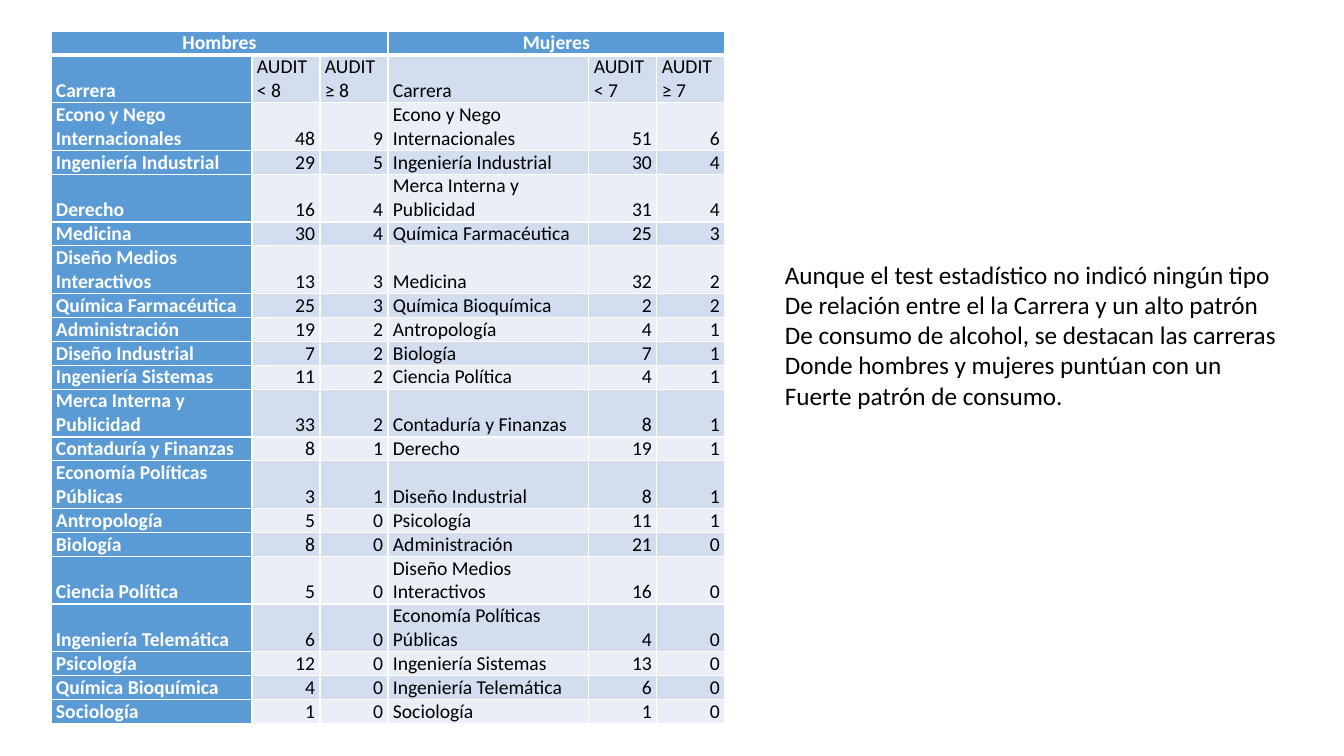
import pptx
import pptx.util
import pptx.dml.color
import pptx.enum.text
import pptx.oxml

PIXEL = 914400 / 100.8
COLORS = {"header": "5B9BD5", "odd": "D2DEEF", "even": "EAEFF7",
          "white": "FFFFFF", "black": "000000"}
ALIGN = pptx.enum.text.PP_ALIGN
NAMESPACE = "http://schemas.openxmlformats.org/drawingml/2006/main"
GROUP_WIDTHS = [201, 68, 68]
HEADER_HEIGHT, ROW_HEIGHT = 23, 21

HEADINGS = ["Carrera", "AUDIT < 8", "AUDIT ≥ 8", "Carrera", "AUDIT < 7", "AUDIT ≥ 7"]
MEN = [
    ("Econo y Nego Internacionales", 48, 9), ("Ingeniería Industrial", 29, 5),
    ("Derecho", 16, 4), ("Medicina", 30, 4), ("Diseño Medios Interactivos", 13, 3),
    ("Química Farmacéutica", 25, 3), ("Administración", 19, 2),
    ("Diseño Industrial", 7, 2), ("Ingeniería Sistemas", 11, 2),
    ("Merca Interna y Publicidad", 33, 2), ("Contaduría y Finanzas", 8, 1),
    ("Economía Políticas Públicas", 3, 1), ("Antropología", 5, 0),
    ("Biología", 8, 0), ("Ciencia Política", 5, 0), ("Ingeniería Telemática", 6, 0),
    ("Psicología", 12, 0), ("Química Bioquímica", 4, 0), ("Sociología", 1, 0),
]
WOMEN = [
    ("Econo y Nego Internacionales", 51, 6), ("Ingeniería Industrial", 30, 4),
    ("Merca Interna y Publicidad", 31, 4), ("Química Farmacéutica", 25, 3),
    ("Medicina", 32, 2), ("Química Bioquímica", 2, 2), ("Antropología", 4, 1),
    ("Biología", 7, 1), ("Ciencia Política", 4, 1), ("Contaduría y Finanzas", 8, 1),
    ("Derecho", 19, 1), ("Diseño Industrial", 8, 1), ("Psicología", 11, 1),
    ("Administración", 21, 0), ("Diseño Medios Interactivos", 16, 0),
    ("Economía Políticas Públicas", 4, 0), ("Ingeniería Sistemas", 13, 0),
    ("Ingeniería Telemática", 6, 0), ("Sociología", 1, 0),
]
COMMENT = [
    "Aunque el test estadístico no indicó ningún tipo",
    "De relación entre el la Carrera y un alto patrón",
    "De consumo de alcohol, se destacan las carreras",
    "Donde hombres y mujeres puntúan con un",
    "Fuerte patrón de consumo.",
]


def px(value):
    """Turn pixels into EMU."""
    return pptx.util.Emu(round(value * PIXEL))


def rgb(name):
    """Look up a named colour."""
    return pptx.dml.color.RGBColor.from_string(COLORS[name])


def write(frame, lines, size=14, color="black", bold=False, align=ALIGN.LEFT):
    """Write lines as formatted paragraphs of a text frame."""
    for index, line in enumerate(lines):
        paragraph = frame.add_paragraph() if index else frame.paragraphs[0]
        paragraph.alignment = align
        run = paragraph.add_run()
        run.text = line
        run.font.name = "Calibri"
        run.font.size = pptx.util.Pt(size)
        run.font.bold = bold
        run.font.color.rgb = rgb(color)


def style_cell(cell, fill, top=1, bottom=1):
    """Give a cell its margins, white borders and fill."""
    cell.margin_left = cell.margin_right = px(5)
    cell.margin_top = cell.margin_bottom = 0
    cell.vertical_anchor = pptx.enum.text.MSO_ANCHOR.BOTTOM
    properties = cell._tc.get_or_add_tcPr()
    for side, points in (("L", 1), ("R", 1), ("T", top), ("B", bottom)):
        properties.append(pptx.oxml.parse_xml(
            f'<a:ln{side} xmlns:a="{NAMESPACE}" w="{points * 12700}"><a:solidFill>'
            f'<a:srgbClr val="{COLORS["white"]}"/></a:solidFill></a:ln{side}>'))
    cell.fill.solid()
    cell.fill.fore_color.rgb = rgb(fill)


def add_career_table(slide, left, top):
    """Place the table of AUDIT scores by career for men and women."""
    rows = [HEADINGS] + [man + woman for man, woman in zip(MEN, WOMEN)]
    widths = GROUP_WIDTHS * 2
    height = HEADER_HEIGHT + ROW_HEIGHT * len(rows)
    table = slide.shapes.add_table(len(rows) + 1, len(widths), px(left), px(top),
                                   px(sum(widths)), px(height)).table
    for column, width in zip(table.columns, widths):
        column.width = px(width)
    for index, row in enumerate(table.rows):
        row.height = px(ROW_HEIGHT if index else HEADER_HEIGHT)
    for column in range(len(widths)):
        style_cell(table.cell(0, column), "header", bottom=3)
    for column, title in ((0, "Hombres"), (3, "Mujeres")):
        table.cell(0, column).merge(table.cell(0, column + 2))
        write(table.cell(0, column).text_frame, [title],
              color="white", bold=True, align=ALIGN.CENTER)
    for index, values in enumerate(rows, 1):
        band = "odd" if index % 2 else "even"
        for column, value in enumerate(values):
            cell = table.cell(index, column)
            first = column == 0
            style_cell(cell, "header" if first else band, top=3 if index == 1 else 1)
            write(cell.text_frame, [str(value)], color="white" if first else "black",
                  bold=first, align=ALIGN.RIGHT if isinstance(value, int) else ALIGN.LEFT)


def add_comment(slide, left, top, width, height):
    """Place the comment on the results."""
    box = slide.shapes.add_textbox(px(left), px(top), px(width), px(height))
    box.text_frame.word_wrap = False
    box.text_frame.auto_size = pptx.enum.text.MSO_AUTO_SIZE.SHAPE_TO_FIT_TEXT
    write(box.text_frame, COMMENT, size=18)


def main():
    """Build and save the slide."""
    presentation = pptx.Presentation()
    presentation.slide_width = px(1344)
    presentation.slide_height = px(756)
    slide = presentation.slides.add_slide(presentation.slide_layouts[6])
    add_career_table(slide, 51, 31)
    add_comment(slide, 775, 254, 517, 163)
    presentation.save("out.pptx")


main()
